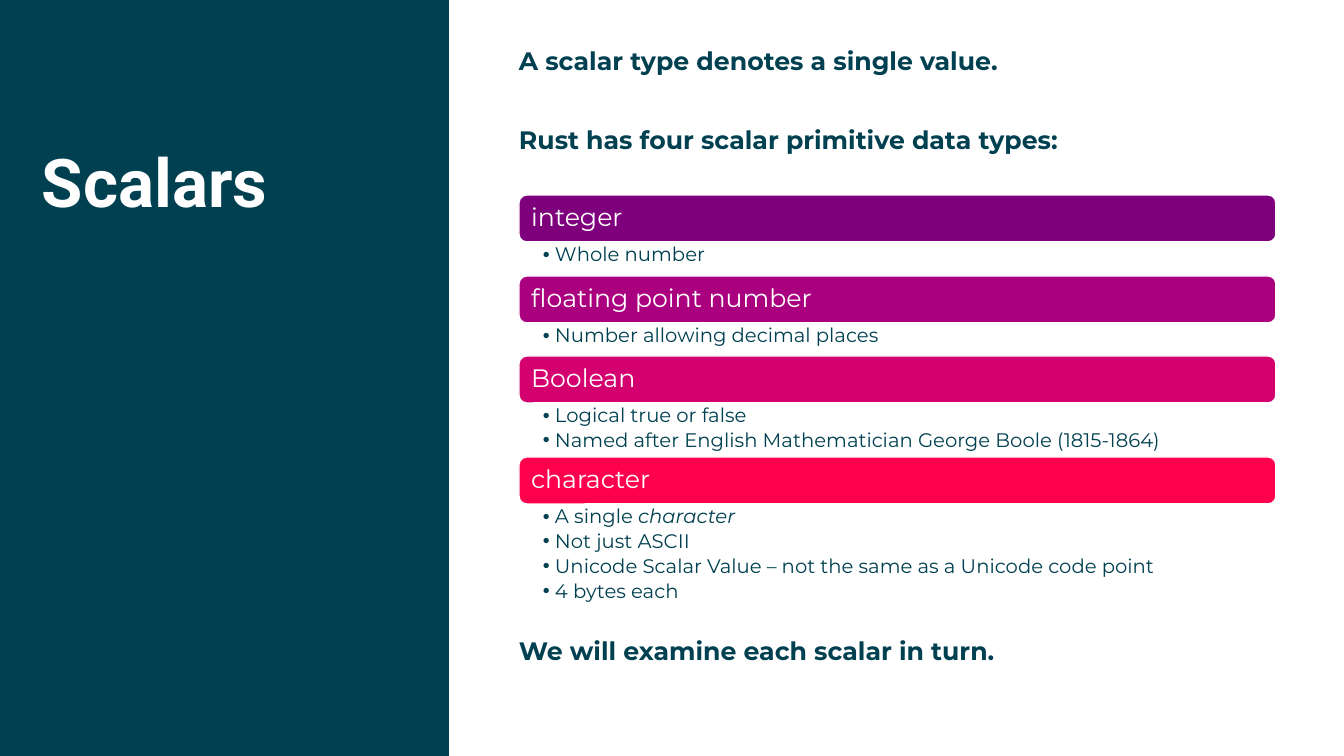
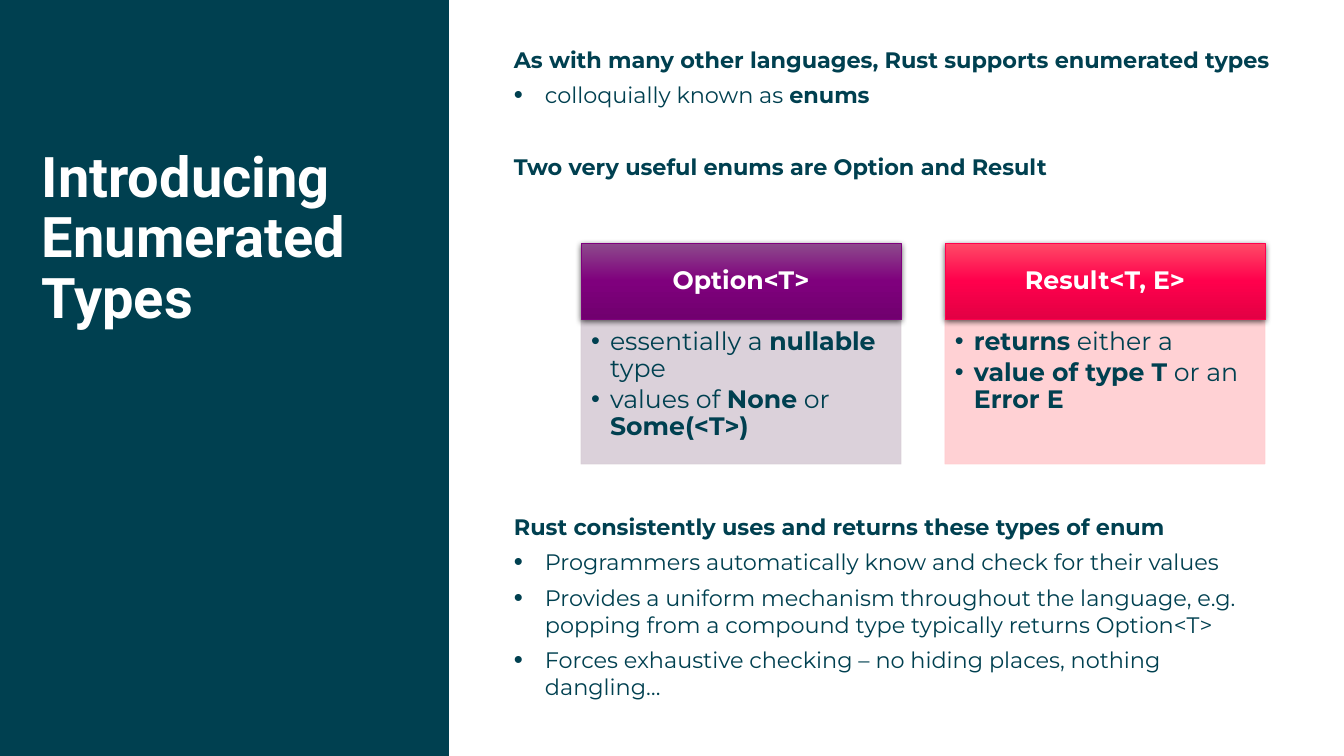
from copy import deepcopy

from lxml import etree
from pptx import Presentation
from pptx import util as u
from pptx.dml import color
from pptx.enum import shapes, text
from pptx.oxml import ns

PX = 9071
TEAL, WHITE = "004050", "FFFFFF"
rgb = color.RGBColor.from_string


def add_para(tf, words, size=18, face="Montserrat", fill=TEAL, bold=False, mark="bold",
             hang=0, bullet_pct=100, align=text.PP_ALIGN.LEFT, spacing=1.0, after=0):
    p = tf.add_paragraph() if tf.text else tf.paragraphs[0]
    if hang:
        pPr = p._p.get_or_add_pPr()
        pPr.set("marL", str(hang * PX))
        pPr.set("indent", str(-hang * PX))
        etree.SubElement(pPr, ns.qn("a:buSzPct"), val=str(bullet_pct * 1000))
        etree.SubElement(pPr, ns.qn("a:buFont"), typeface="Arial")
        etree.SubElement(pPr, ns.qn("a:buChar"), char="•")
    p.alignment, p.line_spacing = align, spacing
    p.space_after = u.Pt(after)
    for i, part in enumerate(words.split("*")):
        if part:
            r = p.add_run()
            r.text = part
            r.font.name, r.font.size, r.font.bold = face, u.Pt(size), bold
            r.font.color.rgb = rgb(fill)
            if i % 2:
                setattr(r.font, mark, True)


def add_box(slide, x, y, w, h, kind=None, fill=None, line=None, weight=1,
            margins=(0, 0, 0, 0), anchor=text.MSO_ANCHOR.TOP):
    place = [n * PX for n in (x, y, w, h)]
    if kind is None:
        sp = slide.shapes.add_textbox(*place)
    else:
        sp = slide.shapes.add_shape(kind, *place)
        sp.shadow.inherit = False
        sp.fill.solid()
        sp.fill.fore_color.rgb = rgb(fill)
        if line:
            sp.line.color.rgb = rgb(line)
            sp.line.width = u.Pt(weight)
        else:
            sp.line.fill.background()
    tf = sp.text_frame
    tf.word_wrap, tf.vertical_anchor = True, anchor
    tf.margin_left, tf.margin_top, tf.margin_right, tf.margin_bottom = [m * PX for m in margins]
    return sp


prs = Presentation()
prs.slide_width, prs.slide_height = 1344 * PX, 756 * PX
layout = prs.slide_layouts[5]
holder = layout.placeholders[0]
holder.left, holder.top, holder.width, holder.height = [n * PX for n in (42, 149, 380, 303)]

slides = []
for title, size in (("Scalars", 48), ("Introducing Enumerated Types", 40)):
    s = prs.slides.add_slide(layout)
    tf = s.shapes.title.text_frame
    tf.word_wrap, tf.auto_size = True, text.MSO_AUTO_SIZE.NONE
    tf.vertical_anchor = text.MSO_ANCHOR.TOP
    tf.margin_left = tf.margin_top = tf.margin_right = tf.margin_bottom = 0
    add_para(tf, title, size=size, face="Roboto", fill=WHITE, bold=True, spacing=0.9)
    slides.append(s)
scalars, enums = slides

band = add_box(scalars, 0, 0, 449, 756, shapes.MSO_SHAPE.RECTANGLE, TEAL)
band._element.nvSpPr.cNvPr.set("id", "10")
layout.shapes._spTree.insert(2, band._element)

for y, words in (
    (45, "A scalar type denotes a single value."),
    (124, "Rust has four scalar primitive data types:"),
    (635, "We will examine each scalar in turn."),
):
    add_para(add_box(scalars, 519, y, 757, 31).text_frame, words, bold=True)

for y, fill, name, facts in (
    (195, "7F007D", "integer", ["Whole number"]),
    (276, "AA0080", "floating point number", ["Number allowing decimal places"]),
    (356, "D40070", "Boolean", [
        "Logical true or false",
        "Named after English Mathematician George Boole (1815-1864)",
    ]),
    (457, "FF004C", "character", [
        "A single *character*",
        "Not just ASCII",
        "Unicode Scalar Value – not the same as a Unicode code point",
        "4 bytes each",
    ]),
):
    bar = add_box(scalars, 519, y, 757, 47, shapes.MSO_SHAPE.ROUNDED_RECTANGLE, fill, WHITE,
                  margins=(10, 7, 10, 7), anchor=text.MSO_ANCHOR.MIDDLE)
    add_para(bar.text_frame, name, fill=WHITE, spacing=0.9)
    notes = add_box(scalars, 519, y + 47, 757, 25 * len(facts) + 6, margins=(24, 3, 14, 3))
    for fact in facts:
        add_para(notes.text_frame, fact, size=14, mark="italic", hang=12, spacing=0.9, after=2.5)

for y, h, heading, points in (
    (46, 64, "As with many other languages, Rust supports enumerated types",
     ["colloquially known as *enums*"]),
    (153, 28, "Two very useful enums are Option and Result", []),
    (513, 190, "Rust consistently uses and returns these types of enum", [
        "Programmers automatically know and check for their values",
        "Provides a uniform mechanism throughout the language, e.g. popping from a compound"
        " type typically returns Option<T>",
        "Forces exhaustive checking – no hiding places, nothing dangling…",
    ]),
):
    tf = add_box(enums, 514, y, 766, h).text_frame
    add_para(tf, heading, size=16, bold=True, after=6.2)
    for point in points:
        add_para(tf, point, size=16, hang=31, bullet_pct=115, after=6.2)

for i, (name, stops, tint, points) in enumerate((
    ("Option<T>", ("8D4B8C", "7F007D", "71006F"), "D8CCD7",
     ["essentially a *nullable* type", "values of *None* or *Some(<T>)*"]),
    ("Result<T, E>", ("FF4B67", "FF004C", "E30044"), "FFCCD0",
     ["*returns* either a", "*value of type T* or an *Error E*"]),
)):
    x = 581 + 364 * i
    body = add_box(enums, x, 319, 320, 145, shapes.MSO_SHAPE.RECTANGLE, tint, tint, 0.5,
                   margins=(10, 10, 14, 16))
    for clr in body._element.spPr.iter(ns.qn("a:srgbClr")):
        etree.SubElement(clr, ns.qn("a:alpha"), val="90000")
    for point in points:
        add_para(body.text_frame, point, hang=19, spacing=0.9, after=2.5)

    head = add_box(enums, x, 243, 320, 76, shapes.MSO_SHAPE.RECTANGLE, stops[1], stops[1], 0.5,
                   margins=(14, 8, 14, 8), anchor=text.MSO_ANCHOR.MIDDLE)
    head.fill.gradient()
    head.fill.gradient_angle = 270
    spPr = head._element.spPr
    gs = spPr.find(".//" + ns.qn("a:gsLst"))
    gs.append(deepcopy(gs[0]))
    for stop, position, hue in zip(head.fill.gradient_stops, (0, 0.5, 1), stops):
        stop.position = position
        stop.color.rgb = rgb(hue)
    shadow = etree.SubElement(spPr.find(ns.qn("a:effectLst")), ns.qn("a:outerShdw"),
                              blurRad=str(u.Pt(4.5)), dist=str(u.Pt(1.5)), dir="5400000")
    black = etree.SubElement(shadow, ns.qn("a:srgbClr"), val="000000")
    etree.SubElement(black, ns.qn("a:alpha"), val="63000")
    add_para(head.text_frame, name, fill=WHITE, bold=True, align=text.PP_ALIGN.CENTER, spacing=0.9)

prs.save("out.pptx")
